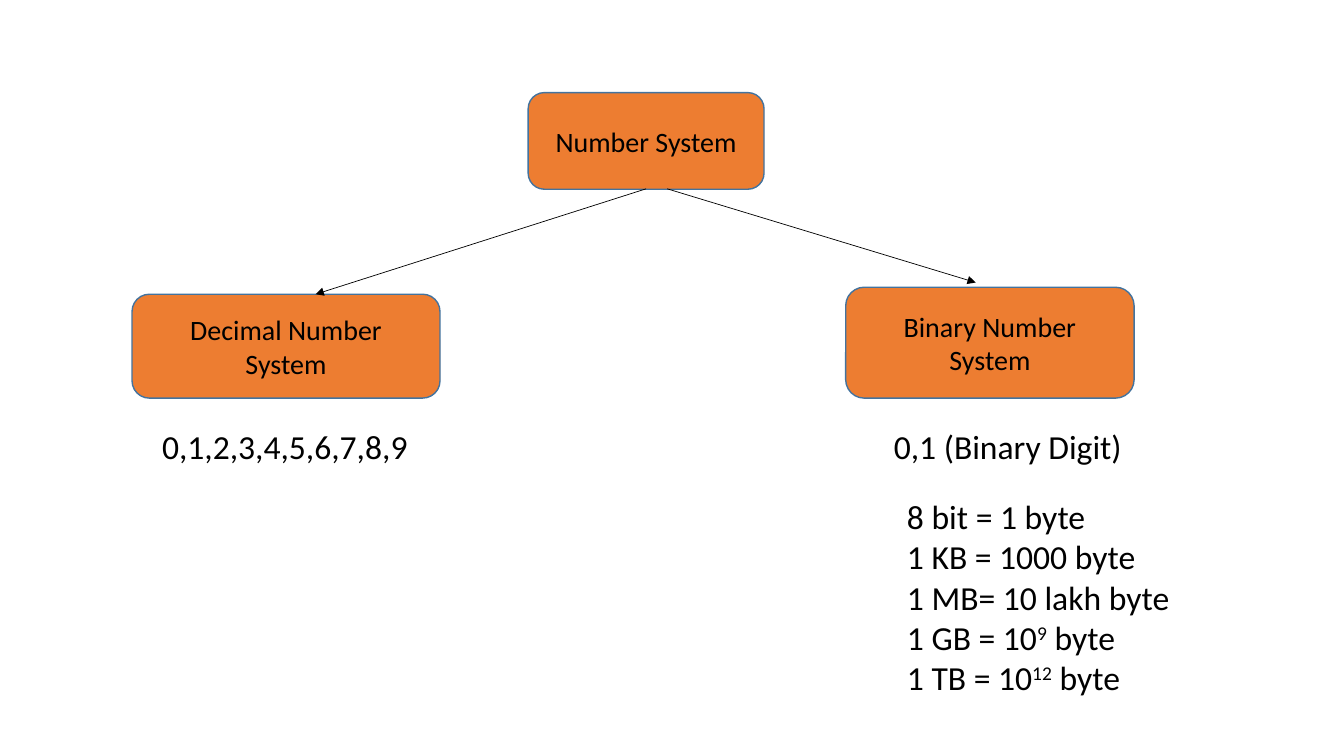
import pptx
import pptx.util
import pptx.dml.color
import pptx.enum.shapes
import pptx.enum.text
import pptx.oxml.ns
import lxml.etree

Pt = pptx.util.Pt
COLORS = {"box": "ED7D31", "outline": "43739E", "ink": "000000"}
FONT = "Calibri"

SYSTEMS = [
    ("Number System", (377.3, 66.2, 168.5, 69)),
    ("Decimal Number System", (94.3, 210.2, 220, 74.2)),
    ("Binary Number System", (604.1, 205.2, 206, 79.2)),
]
BRANCHES = [
    ((461.5, 134.9), (225.4, 210.2)),
    ((476.6, 134.9), (697, 201.8)),
]
NOTES = [
    ((108.7, 301, 194.4, 36), True, [["0,1,2,3,4,5,6,7,8,9"]]),
    ((631.4, 301, 178.6, 36), False, [["0,1 (Binary Digit)"]]),
    ((640.8, 350.6, 203.8, 152.6), False, [
        ["8 bit = 1 byte"],
        ["1 KB = 1000 byte"],
        ["1 MB= 10 lakh byte"],
        ["1 GB = 10", "9", " byte"],
        ["1 TB = 10", "12", " byte"],
    ]),
]


def color(name):
    return pptx.dml.color.RGBColor.from_string(COLORS[name])


def style(run, size):
    run.font.name = FONT
    run.font.size = Pt(size)
    run.font.color.rgb = color("ink")


def add_system(slide, label, bounds):
    system = slide.shapes.add_shape(
        pptx.enum.shapes.MSO_SHAPE.ROUNDED_RECTANGLE, *map(Pt, bounds))
    system.shadow.inherit = False
    system.fill.solid()
    system.fill.fore_color.rgb = color("box")
    system.line.color.rgb = color("outline")
    system.line.width = Pt(1)
    frame = system.text_frame
    frame.text = label
    frame.word_wrap = True
    frame.vertical_anchor = pptx.enum.text.MSO_ANCHOR.MIDDLE
    frame.paragraphs[0].alignment = pptx.enum.text.PP_ALIGN.CENTER
    style(frame.paragraphs[0].runs[0], 20)


def add_branch(slide, start, end):
    branch = slide.shapes.add_connector(
        pptx.enum.shapes.MSO_CONNECTOR.STRAIGHT, *map(Pt, start + end))
    branch.line.color.rgb = color("ink")
    branch.line.width = Pt(0.5)
    qn = pptx.oxml.ns.qn
    lxml.etree.SubElement(branch.line._get_or_add_ln(), qn("a:tailEnd"), type="triangle")
    lxml.etree.SubElement(branch._element.spPr, qn("a:effectLst"))


def add_note(slide, bounds, wrap, lines):
    frame = slide.shapes.add_textbox(*map(Pt, bounds)).text_frame
    frame.word_wrap = wrap
    frame.auto_size = pptx.enum.text.MSO_AUTO_SIZE.SHAPE_TO_FIT_TEXT
    for number, parts in enumerate(lines):
        line = frame.add_paragraph() if number else frame.paragraphs[0]
        for position, part in enumerate(parts):
            run = line.add_run()
            run.text = part
            style(run, 24)
            if position == 1:
                run._r.get_or_add_rPr().set("baseline", "30000")


def main():
    deck = pptx.Presentation()
    deck.slide_width, deck.slide_height = Pt(960), Pt(540)
    slide = deck.slides.add_slide(deck.slide_layouts[6])
    for label, bounds in SYSTEMS:
        add_system(slide, label, bounds)
    for start, end in BRANCHES:
        add_branch(slide, start, end)
    for bounds, wrap, lines in NOTES:
        add_note(slide, bounds, wrap, lines)
    deck.save("out.pptx")


if __name__ == "__main__":
    main()
